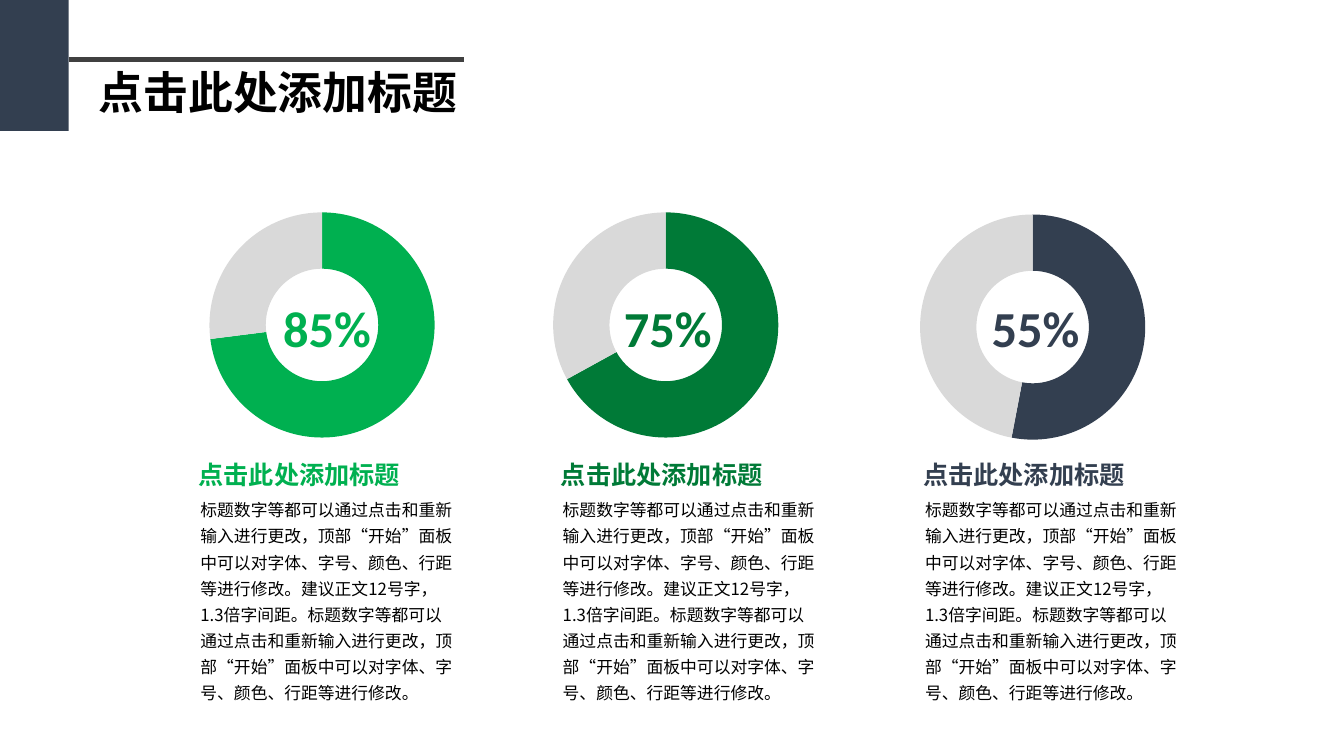
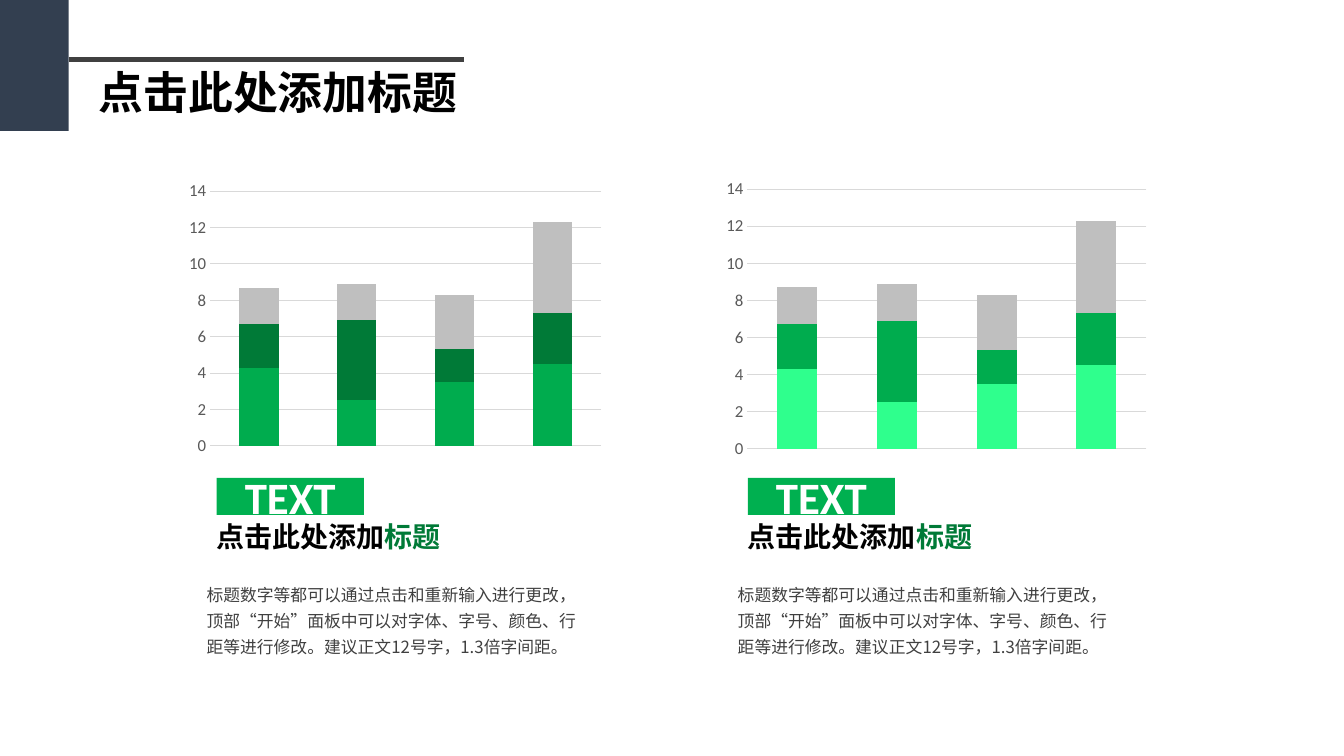
from lxml import etree
from pptx import Presentation
from pptx.chart.data import CategoryChartData
from pptx.dml.color import RGBColor
from pptx.enum import chart as ch, shapes, text
from pptx.oxml.ns import qn
from pptx.util import Pt

CJK, LATIN = "Noto Sans CJK SC", "Calibri"
NAVY, GREEN, DARK_GREEN = "333F50", "00B050", "007A37"
MID_GREEN, MINT, SILVER = "00AC4E", "2FFF8D", "BFBFBF"
BLACK, WHITE, CHARCOAL, GREY, PALE = "000000", "FFFFFF", "404040", "595959", "D9D9D9"

TITLE = "点击此处添加标题"
EDIT_TIP = "标题数字等都可以通过点击和重新输入进行更改，顶部“开始”面板中可以对字体、字号、颜色、行距等进行修改。"
SIZE_TIP = "建议正文12号字，1.3倍字间距。"

DONUTS = [
    {"label": "85%", "share": 73, "color": GREEN, "at": (97.2, 141.8), "label_x": 195.1},
    {"label": "75%", "share": 67, "color": DARK_GREEN, "at": (342.7, 141.8), "label_x": 438.5},
    {"label": "55%", "share": 53, "color": NAVY, "at": (604.8, 143.3), "label_x": 701.3},
]
COLUMN_X, COLUMN_PITCH = 136.1, 258.8

STACKS = [
    ("Series 1", (4.3, 2.5, 3.5, 4.5)),
    ("Series 2", (2.4, 4.4, 1.8, 2.8)),
    ("Series 3", (2, 2, 3, 5)),
]
BAR_CHARTS = [
    ((128.9, 125.3, 306.7, 204.5), (MID_GREEN, DARK_GREEN, SILVER)),
    ((512.6, 123.8, 312.5, 208.1), (MINT, MID_GREEN, SILVER)),
]
PANEL_X, PANEL_PITCH = 142.6, 379.4


def pts(values):
    """Convert numbers to lengths in points."""
    return [Pt(v) for v in values]


def paint(target, color):
    """Give a fill one solid colour."""
    target.solid()
    target.fore_color.rgb = RGBColor.from_string(color)


def style_font(font, size, color, name=LATIN, bold=False):
    """Set size, colour, weight and both Latin and East Asian typefaces."""
    font.size, font.bold, font.name = Pt(size), bold, name
    paint(font.fill, color)
    latin = font._element.find(qn("a:latin")) if hasattr(font, "_element") else font._rPr.find(qn("a:latin"))
    ea = etree.Element(qn("a:ea"), typeface=name)
    latin.addnext(ea)


def add_text(slide, box, runs, size, color, name=CJK, bold=False, spacing=None, wrap=True, insets=None):
    """Add a text box with one paragraph of (text, colour) runs."""
    tf = slide.shapes.add_textbox(*pts(box)).text_frame
    tf.word_wrap = wrap
    tf.auto_size = text.MSO_AUTO_SIZE.SHAPE_TO_FIT_TEXT
    if insets:
        tf.margin_left = tf.margin_right = Pt(insets[0])
        tf.margin_top = tf.margin_bottom = Pt(insets[1])
    p = tf.paragraphs[0]
    style_font(p.font, size, color, name, bold)
    if spacing:
        p.line_spacing = spacing
    for content, run_color in runs:
        r = p.add_run()
        r.text = content
        if run_color != color:
            paint(r.font.fill, run_color)


def add_block(slide, box, color):
    """Add a plain filled rectangle."""
    sp = slide.shapes.add_shape(shapes.MSO_SHAPE.RECTANGLE, *pts(box))
    sp.shadow.inherit = False
    paint(sp.fill, color)
    sp.line.fill.background()
    return sp


def add_base_slide(prs):
    """Add a blank slide with the corner block, title and rule."""
    slide = prs.slides.add_slide(prs.slide_layouts[6])
    add_block(slide, (0, 0, 49, 93.6), NAVY)
    add_text(slide, (63.4, 42.5, 319.7, 46), [(TITLE, BLACK)], 32, BLACK, bold=True)
    rule = slide.shapes.add_connector(shapes.MSO_CONNECTOR.STRAIGHT, *pts((49, 42.5, 331.2, 42.5)))
    paint(rule.line.fill, CHARCOAL)
    rule.line.width = Pt(3)
    etree.SubElement(rule._element.spPr, qn("a:effectLst"))
    return slide


def add_chart(slide, kind, box, series):
    """Add a chart with numbered categories and no title or legend."""
    data = CategoryChartData()
    data.categories = [str(i + 1) for i in range(len(series[0][1]))]
    for name, values in series:
        data.add_series(name, values)
    chart = slide.shapes.add_chart(kind, *pts(box), data).chart
    chart.has_title = chart.has_legend = False
    style_font(chart.font, 10, BLACK)
    return chart


def add_donut(slide, donut):
    """Add a doughnut chart and the figure in its hole."""
    share, color = donut["share"], donut["color"]
    chart = add_chart(slide, ch.XL_CHART_TYPE.DOUGHNUT, (*donut["at"], 265.7, 180.7),
                      [("Series 1", (share, 100 - share))])
    chart.element.find(".//" + qn("c:holeSize")).set("val", "75")
    for i, point_color in enumerate((color, PALE)):
        fmt = chart.plots[0].series[0].points[i].format
        paint(fmt.fill, point_color)
        fmt.line.fill.background()
    add_text(slide, (donut["label_x"], 208.8, 77.8, 51.1), [(donut["label"], color)], 36, color,
             LATIN, bold=True, wrap=False)


def add_stacked_bars(slide, box, colors):
    """Add a stacked column chart with a bare value axis."""
    chart = add_chart(slide, ch.XL_CHART_TYPE.COLUMN_STACKED, box, STACKS)
    plot = chart.plots[0]
    plot.gap_width, plot.overlap, plot.vary_by_categories = 150, 100, False
    for series, color in zip(plot.series, colors):
        paint(series.format.fill, color)
    chart.category_axis.visible = False
    axis = chart.value_axis
    axis.major_tick_mark = axis.minor_tick_mark = ch.XL_TICK_MARK.NONE
    axis.format.line.fill.background()
    style_font(axis.tick_labels.font, 12, GREY)
    grid = axis.major_gridlines.format.line
    paint(grid.fill, PALE)
    grid.width = Pt(0.75)


def add_panel(slide, x):
    """Add the tag, heading and body text under a bar chart."""
    tag = add_block(slide, (x + 12.2, 341.3, 105.1, 26.6), GREEN)
    tag.text_frame.vertical_anchor = text.MSO_ANCHOR.MIDDLE
    p = tag.text_frame.paragraphs[0]
    p.alignment = text.PP_ALIGN.CENTER
    p.add_run().text = "TEXT"
    style_font(p.font, 32, WHITE, bold=True)
    add_text(slide, (x + 5, 367.2, 197.3, 31.7), [(TITLE[:-2], BLACK), (TITLE[-2:], DARK_GREEN)],
             20, BLACK, bold=True)
    add_text(slide, (x, 410.4, 280.8, 61.9), [(EDIT_TIP + SIZE_TIP, CHARCOAL)], 12, CHARCOAL,
             spacing=1.3, insets=(5, 2.9))


def build_donut_slide(prs):
    """Build the slide of three doughnuts with captions."""
    slide = add_base_slide(prs)
    for i, donut in enumerate(DONUTS):
        x = COLUMN_X + i * COLUMN_PITCH
        color = donut["color"]
        add_donut(slide, donut)
        add_text(slide, (x, 349.2, 196.6, 158.4), [(EDIT_TIP + SIZE_TIP + EDIT_TIP, BLACK)],
                 12, BLACK, spacing=1.3)
        add_text(slide, (x - 1.4, 324.7, 167, 28.8), [(TITLE, color)], 18, color, bold=True)


def build_bar_slide(prs):
    """Build the slide of two stacked column charts with panels."""
    slide = add_base_slide(prs)
    for i, (box, colors) in enumerate(BAR_CHARTS):
        add_stacked_bars(slide, box, colors)
        add_panel(slide, PANEL_X + i * PANEL_PITCH)


def main():
    """Build and save the presentation."""
    prs = Presentation()
    prs.slide_width, prs.slide_height = Pt(960), Pt(540)
    build_donut_slide(prs)
    build_bar_slide(prs)
    prs.save("out.pptx")


if __name__ == "__main__":
    main()
